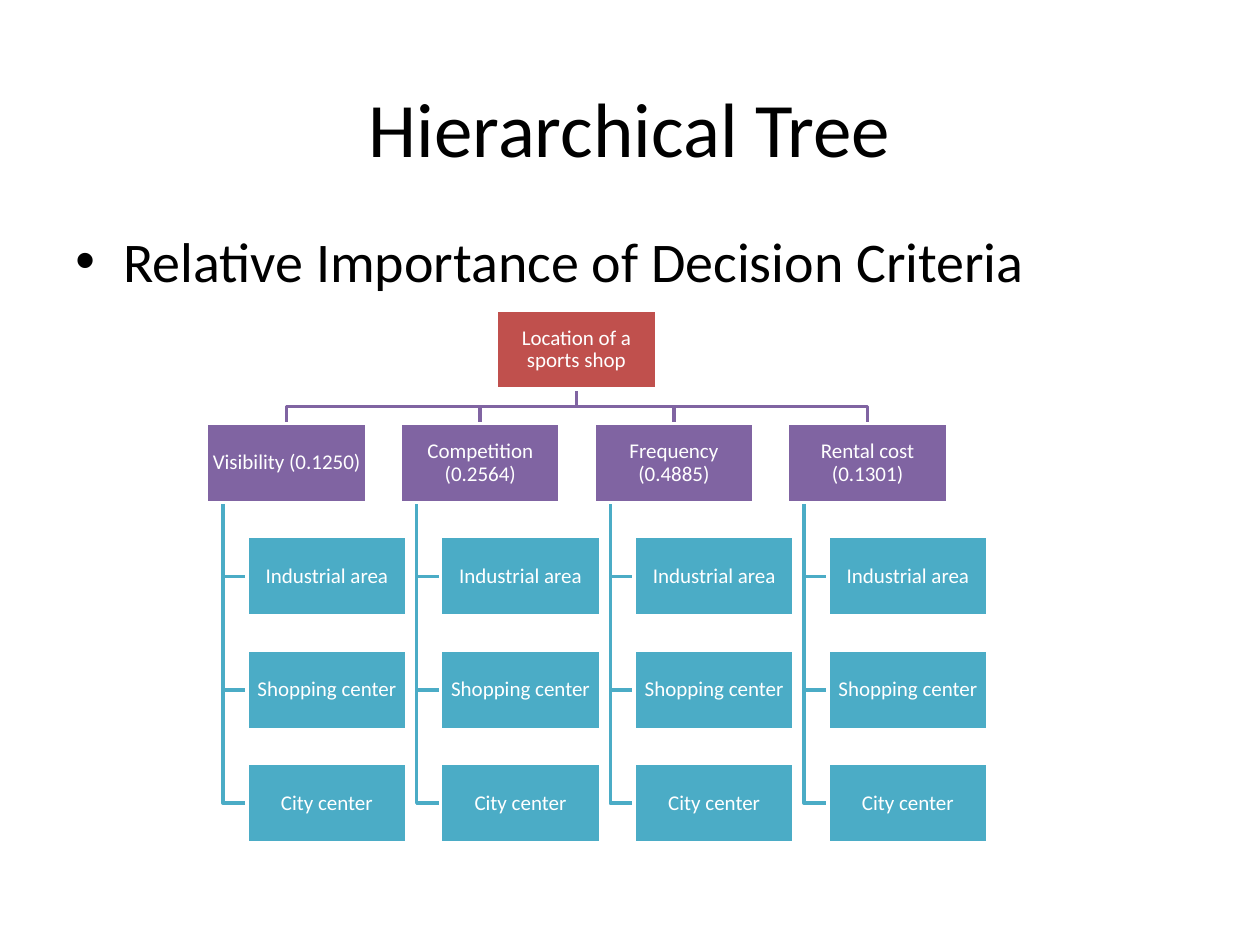
from pptx import Presentation
from pptx.dml.color import RGBColor
from pptx.enum.shapes import MSO_SHAPE
from pptx.enum.text import MSO_ANCHOR as ANCHOR, PP_ALIGN as ALIGN
from pptx.oxml.ns import qn
from pptx.util import Inches, Pt
from lxml.etree import SubElement

BLACK = RGBColor(0x00, 0x00, 0x00)
WHITE = RGBColor(0xFF, 0xFF, 0xFF)
RED = RGBColor(0xC0, 0x50, 0x4D)
PURPLE = RGBColor(0x80, 0x64, 0xA2)
TEAL = RGBColor(0x4B, 0xAC, 0xC6)

BOX_WIDTH, BOX_HEIGHT = 1.27, 0.63
ROOT_LEFT, ROOT_TOP = 3.94, 2.46
ROW_STEP = 0.9
CRITERIA_LEFT, COLUMN_STEP = 1.64, 1.537
SITE_INDENT, TRUNK_INDENT = 0.32, 0.13

presentation = Presentation()
presentation.slide_width = Inches(10)
presentation.slide_height = Inches(7.5)
slide = presentation.slides.add_slide(presentation.slide_layouts[6])


def add_text(text, left, top, width=BOX_WIDTH, height=BOX_HEIGHT, *, size=12,
             color=WHITE, fill=None, align=ALIGN.CENTER, anchor=ANCHOR.MIDDLE,
             bullet=False):
    area = [Inches(value) for value in (left, top, width, height)]
    if fill is None:
        shape = slide.shapes.add_textbox(*area)
    else:
        shape = slide.shapes.add_shape(MSO_SHAPE.RECTANGLE, *area)
        shape.shadow.inherit = False
        shape.fill.solid()
        shape.fill.fore_color.rgb = fill
        shape.line.color.rgb = WHITE
        shape.line.width = Pt(2)
    frame = shape.text_frame
    frame.word_wrap = True
    frame.vertical_anchor = anchor
    paragraph = frame.paragraphs[0]
    paragraph.alignment = align
    if fill is not None:
        frame.margin_left = frame.margin_right = Inches(0.01)
        frame.margin_top = frame.margin_bottom = Inches(0.01)
        paragraph.line_spacing = 0.9
    if bullet:
        properties = paragraph._p.get_or_add_pPr()
        properties.set("marL", str(Inches(0.38)))
        properties.set("indent", str(Inches(-0.38)))
        SubElement(properties, qn("a:buFont")).set("typeface", "Arial")
        SubElement(properties, qn("a:buChar")).set("char", "•")
    run = paragraph.add_run()
    run.text = text
    run.font.name = "Calibri"
    run.font.size = Pt(size)
    run.font.color.rgb = color


def add_branch(points, color):
    start, *rest = [(Inches(x), Inches(y)) for x, y in points]
    builder = slide.shapes.build_freeform(*start)
    builder.add_line_segments(rest, close=False)
    shape = builder.convert_to_shape()
    shape.shadow.inherit = False
    shape.fill.background()
    shape.line.color.rgb = color
    shape.line.width = Pt(2)


add_text("Hierarchical Tree", 0.5, 0.38, 9, 1.25, size=44, color=BLACK)
add_text("Relative Importance of Decision Criteria", 0.5, 1.75, 9, 4.95, size=32,
         color=BLACK, align=ALIGN.LEFT, anchor=ANCHOR.TOP, bullet=True)

criteria = ["Visibility (0.1250)", "Competition (0.2564)",
            "Frequency (0.4885)", "Rental cost (0.1301)"]
sites = ["Industrial area", "Shopping center", "City center"]
criteria_lefts = [CRITERIA_LEFT + COLUMN_STEP * column for column in range(len(criteria))]
criteria_top = ROOT_TOP + ROW_STEP
criteria_bottom = criteria_top + BOX_HEIGHT
site_tops = [criteria_top + ROW_STEP * (row + 1) for row in range(len(sites))]
root_center = ROOT_LEFT + BOX_WIDTH / 2
root_bottom = ROOT_TOP + BOX_HEIGHT
bus_y = (root_bottom + criteria_top) / 2

for left in reversed(criteria_lefts):
    trunk_x = left + TRUNK_INDENT
    for top in reversed(site_tops):
        middle = top + BOX_HEIGHT / 2
        add_branch([(trunk_x, criteria_bottom), (trunk_x, middle),
                    (left + SITE_INDENT, middle)], TEAL)
    center = left + BOX_WIDTH / 2
    add_branch([(root_center, root_bottom), (root_center, bus_y),
                (center, bus_y), (center, criteria_top)], PURPLE)

add_text("Location of a sports shop", ROOT_LEFT, ROOT_TOP, fill=RED)
for criterion, left in zip(criteria, criteria_lefts):
    add_text(criterion, left, criteria_top, fill=PURPLE)
    for site, top in zip(sites, site_tops):
        add_text(site, left + SITE_INDENT, top, fill=TEAL)

presentation.save("out.pptx")
